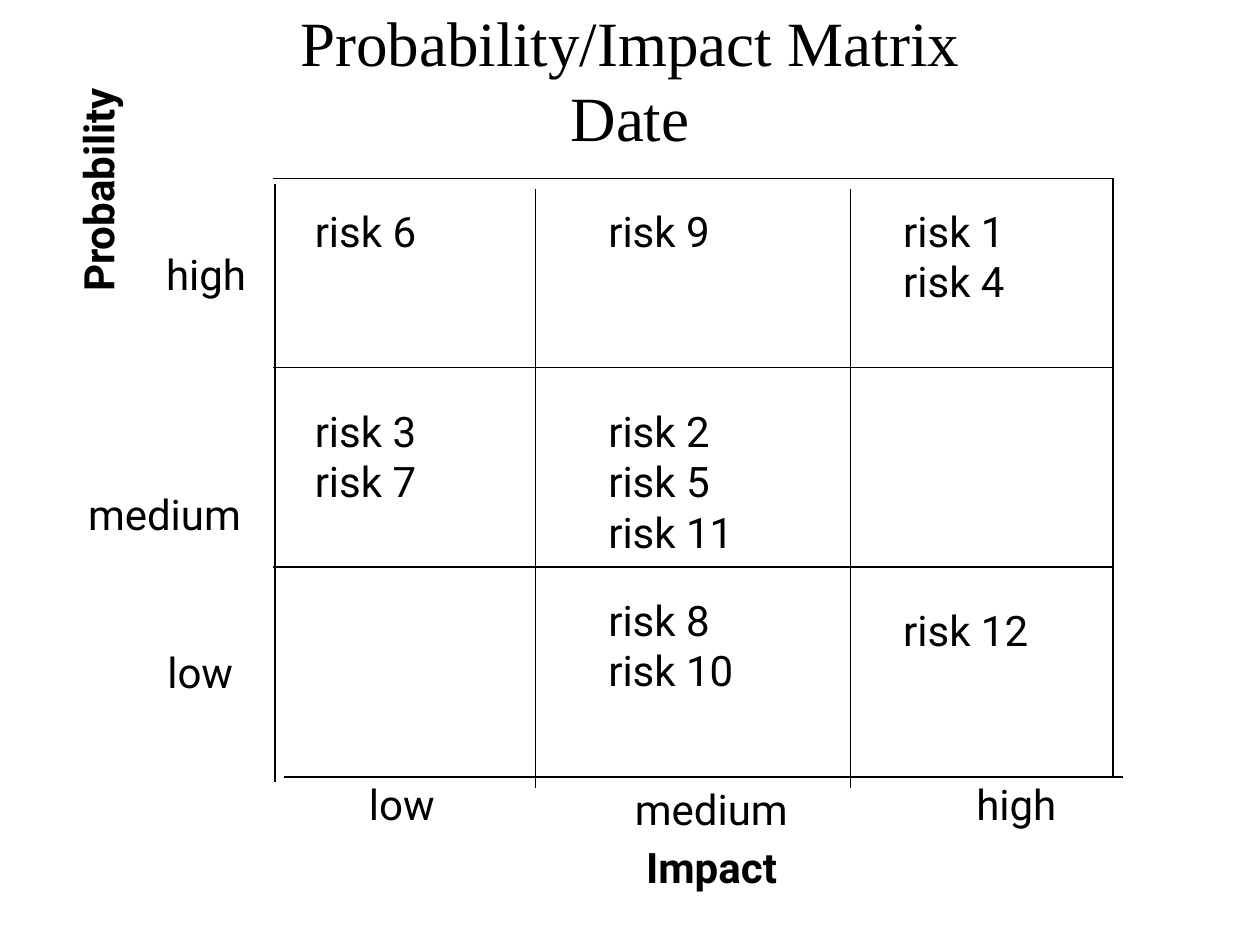
from pptx import Presentation
from pptx.dml.color import RGBColor
from pptx.enum.shapes import MSO_CONNECTOR
from pptx.enum.text import MSO_ANCHOR, MSO_AUTO_SIZE, PP_ALIGN
from pptx.oxml.ns import qn
from pptx.util import Inches, Pt

STRAIGHT = MSO_CONNECTOR.STRAIGHT
MIDDLE = MSO_ANCHOR.MIDDLE
CENTER, LEFT = PP_ALIGN.CENTER, PP_ALIGN.LEFT
GROW, FIXED = MSO_AUTO_SIZE.SHAPE_TO_FIT_TEXT, MSO_AUTO_SIZE.NONE
INK = "000000"
UNIT = Inches(1) / 12
LINE_HEIGHT = 0.4

deck = Presentation()
deck.slide_width, deck.slide_height = Inches(10), Inches(7.5)
page = deck.slides.add_slide(deck.slide_layouts[5])


def color(hex_text):
    return RGBColor.from_string(hex_text)


def write(box, lines, alignment=LEFT, **font_values):
    box.text_frame.text = "\n".join(lines)
    for para in box.text_frame.paragraphs:
        para.alignment = alignment
        for span in para.runs:
            span.font.color.rgb = color(INK)
            for name, value in font_values.items():
                setattr(span.font, name, value)


title = page.shapes.title
title_place = {"left": 0, "top": 0, "width": deck.slide_width, "height": Inches(1.25)}
for name, value in title_place.items():
    setattr(title, name, value)
title.text_frame.vertical_anchor = MIDDLE
title.text_frame.auto_size = FIXED
write(title, ["Probability/Impact Matrix\vDate"], CENTER, name="Times New Roman", size=Pt(36))

# Grid edges, in twelfths of an inch
columns = [26, 51, 81, 106]
rows = [17, 35, 54, 74]
horizontal = [(columns[0], y, columns[-1], y) for y in rows[:-1]]
vertical = [(x, rows[-1] + 1, x, rows[0] + 1) for x in columns[1:-1]]
frame = [
    (columns[0] + 0.2, rows[0] + 0.5, columns[0] + 0.2, rows[-1] + 0.5),
    (columns[0] + 1, rows[-1], columns[-1] + 1, rows[-1]),
    (columns[-1], rows[-1], columns[-1], rows[0]),
]
for ends in horizontal + vertical + frame:
    rule = page.shapes.add_connector(STRAIGHT, *[round(UNIT * end) for end in ends])
    rule.line.color.rgb = color(INK)
    rule.line.width = Pt(0.75)
    rule._element.spPr.append(rule._element.spPr.makeelement(qn("a:effectLst"), {}))

level_widths = {"low": 0.75, "medium": 1.51, "high": 0.9}
probability_places = {"high": (1.22, 1.92), "medium": (0.6, 3.83), "low": (1.23, 5.08)}
impact_places = {"low": (2.83, 6.13), "medium": (4.94, 6.17), "high": (7.65, 6.13)}
labels = [
    (left, top, level_widths[level], [level], False, 0)
    for places in (probability_places, impact_places)
    for level, (left, top) in places.items()
]
labels += [
    (5.03, 6.63, 1.38, ["Impact"], True, 0),
    (-0.14, 1.25, 1.83, ["Probability"], True, 270),
]

risk_columns = [2.4, 4.73, 7.07]
risk_rows = [
    (1.58, [[6], [9], [1, 4]]),
    (3.17, [[3, 7], [2, 5, 11], []]),
    (4.67, [[], [8, 10], []]),
    (4.75, [[], [], [12]]),
]
for top, cells in risk_rows:
    for left, numbers in zip(risk_columns, cells):
        if numbers:
            width = 1.23 if max(numbers) > 9 else 1.04
            labels.append((left, top, width, [f"risk {number}" for number in numbers], False, 0))

for left, top, width, lines, bold, rotation in labels:
    height = 0.1 + LINE_HEIGHT * len(lines)
    box = page.shapes.add_textbox(*[Inches(length) for length in (left, top, width, height)])
    box.rotation = rotation
    box.text_frame.word_wrap = False
    box.text_frame.auto_size = FIXED if rotation else GROW
    write(box, lines, name="Roboto", size=Pt(24), bold=bold)

deck.save("out.pptx")
